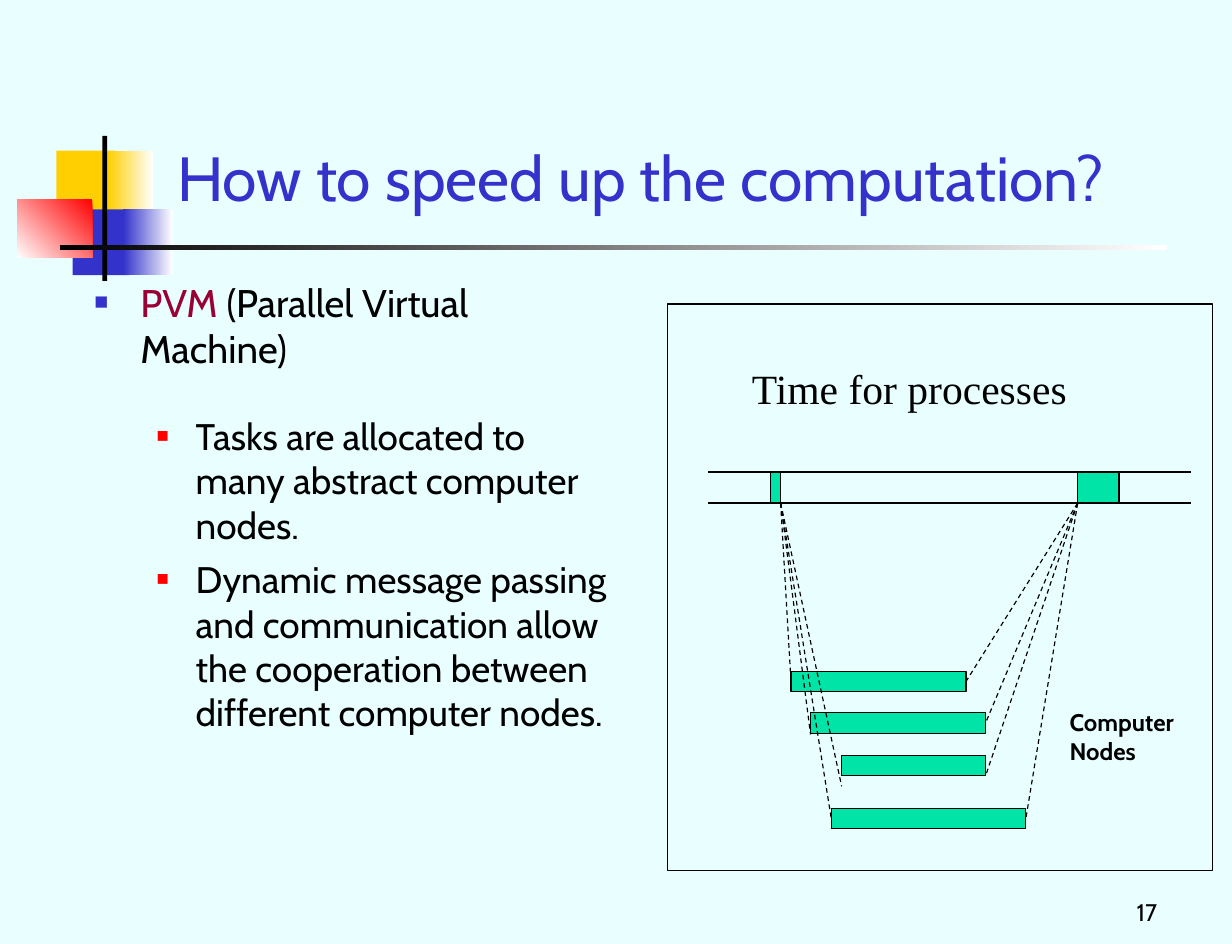
from lxml.etree import SubElement as Sub
from pptx import Presentation
from pptx.dml.color import RGBColor as Rgb
from pptx.enum.dml import MSO_LINE as Dash
from pptx.enum.shapes import MSO_CONNECTOR as Con, MSO_SHAPE as Geo
from pptx.enum.text import MSO_ANCHOR as Anchor, MSO_AUTO_SIZE as Auto, PP_ALIGN as Align
from pptx.oxml.ns import qn
from pptx.util import Pt

PX = 9144
theme = {
    "back": "E9FFFF", "ink": "000000", "white": "FFFFFF", "blue": "3333CC",
    "gold": "FFCF01", "red": "FF0000", "wine": "990033", "green": "00E4A8",
    "font": "Cabin", "serif": "Times New Roman",
    "title": 39, "lead": 24.1, "point": 23.1, "head": 26, "note": 15, "line": 0.75,
}


def hue(name):
    return Rgb.from_string(theme[name])


def put(item, vals):
    for key, val in vals.items():
        setattr(item, key, val)


deck = Presentation()
put(deck, {"slide_width": 1070 * PX, "slide_height": 820 * PX})
slide = deck.slides.add_slide(deck.slide_layouts[1])
slide.background.fill.solid()
slide.background.fill.fore_color.rgb = hue("back")
shapes = slide.shapes
title, body = slide.placeholders

decor = [
    ((49, 131, 51, 57), ["gold"], 0),
    ((94, 131, 39, 57), ["white", "gold"], 180),
    ((63, 182, 49, 57), ["blue"], 0),
    ((107, 182, 43, 57), ["white", "blue"], 180),
    ((15, 173, 65, 51), ["red", "white"], 225),
    ((89, 118, 4, 126), ["ink"], 0),
    ((52, 213, 962, 4), ["white", "ink"], 180),
]
for at, tones, turn in decor:
    block = shapes.add_shape(Geo.RECTANGLE, *[n * PX for n in at])
    block.shadow.inherit = False
    block.line.fill.background()
    if len(tones) == 1:
        block.fill.solid()
        block.fill.fore_color.rgb = hue(tones[0])
    else:
        block.fill.gradient()
        block.fill.gradient_angle = turn
        for stop, tone in zip(block.fill.gradient_stops, tones):
            stop.color.rgb = hue(tone)

bars = []
rects = [
    (687, 583, 152, 18), (704, 619, 152, 18), (731, 656, 125, 18), (722, 702, 169, 18),
    (669, 410, 9, 27), (936, 410, 36, 27), (580, 264, 473, 492),
]
for at in rects:
    bar = shapes.add_shape(Geo.RECTANGLE, *[n * PX for n in at])
    bar.shadow.inherit = False
    put(bar.line, {"width": Pt(theme["line"])})
    bar.line.color.rgb = hue("ink")
    if at == rects[-1]:
        bar.fill.background()
    else:
        bar.fill.solid()
        bar.fill.fore_color.rgb = hue("green")
    bars.append(bar)

fork, join = (678, 437), (936, 437)
lines = [((615, y), (1034, y), None, None, None) for y in (410, 437)]
lines += [
    (fork, (687, 592), Dash.DASH, 0, 1),
    (fork, (704, 638), Dash.DASH, None, None),
    (fork, (731, 683), Dash.DASH, None, None),
    (fork, (722, 711), Dash.DASH, 3, 1),
    (join, (839, 592), Dash.DASH, 0, 3),
    (join, (856, 628), Dash.DASH, 1, 3),
    (join, (856, 674), Dash.DASH, None, None),
    (join, (891, 711), Dash.DASH, 3, 3),
]
for start, end, dash, node, side in lines:
    wire = shapes.add_connector(Con.STRAIGHT, *[n * PX for n in start + end])
    put(wire.line, {"width": Pt(theme["line"]), "dash_style": dash})
    wire.line.color.rgb = hue("ink")
    Sub(wire.element.spPr, qn("a:effectLst"))
    if node is not None:
        wire.end_connect(bars[node], side)

time, nodes, page = [shapes.add_textbox(0, 0, PX, PX) for n in range(3)]
left, right = Align.LEFT, Align.RIGHT
top, low = Anchor.TOP, Anchor.BOTTOM
texts = [
    (title, (143, 91, 892, 100), low, [
        (left, 0, None, [("How to speed up the computation?", "title", "font", "blue", False)])]),
    (body, (71, 237, 470, 533), top, [
        (left, 6.5, (40, 40, "blue", 60), [
            ("PVM", "lead", "font", "wine", False),
            (" (Parallel Virtual Machine)", "lead", "font", "ink", False)]),
        (left, 26.5, (88, 34, "red", 55), [
            ("Tasks are allocated to many abstract computer nodes.",
             "point", "font", "ink", False)]),
        (left, 6.5, (88, 34, "red", 55), [
            ("Dynamic message passing and communication allow the cooperation "
             "between different computer nodes.", "point", "font", "ink", False)])]),
    (time, (642, 310, 321, 54), top, [
        (left, 0, None, [("Time for processes", "head", "serif", "ink", False)])]),
    (nodes, (918, 610, 134, 61), top, [
        (left, 0, None, [("Computer Nodes", "note", "font", "ink", True)])]),
    (page, (936, 774, 80, 36), low, [
        (right, 0, None, [("17", "note", "font", "ink", False)])]),
]
for box, at, anchor, paras in texts:
    put(box, dict(zip(("left", "top", "width", "height"), [n * PX for n in at])))
    frame = box.text_frame
    put(frame, {
        "word_wrap": True, "auto_size": Auto.NONE, "vertical_anchor": anchor,
        "margin_left": 11 * PX, "margin_right": 11 * PX,
        "margin_top": 5 * PX, "margin_bottom": 5 * PX,
    })
    for i, (align, gap, mark, runs) in enumerate(paras):
        para = frame.add_paragraph() if i else frame.paragraphs[0]
        put(para, {"alignment": align, "space_before": Pt(gap)})
        if mark:
            dent, hang, tone, size = mark
            para.level = 1 if dent > 40 else 0
            prop = para._p.get_or_add_pPr()
            prop.set("marL", str(dent * PX))
            prop.set("indent", str(-hang * PX))
            Sub(Sub(prop, qn("a:buClr")), qn("a:srgbClr"), val=theme[tone])
            Sub(prop, qn("a:buSzPct"), val=str(size * 1000))
            Sub(prop, qn("a:buFont"), typeface="Arial")
            Sub(prop, qn("a:buChar"), char="■")
        for words, size, face, tone, bold in runs:
            run = para.add_run()
            run.text = words
            put(run.font, {"size": Pt(theme[size]), "name": theme[face], "bold": bold})
            run.font.color.rgb = hue(tone)

deck.save("out.pptx")
